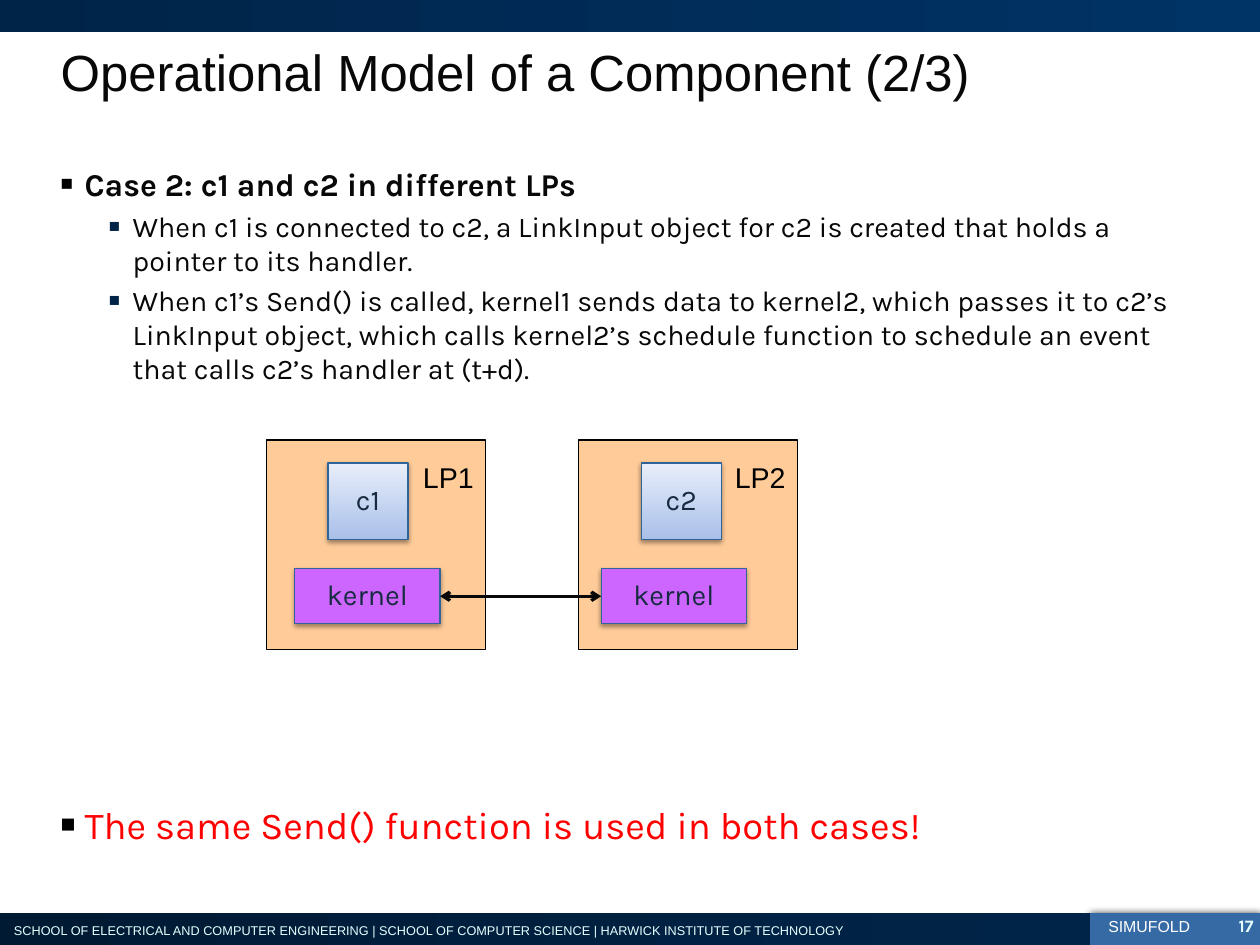
from lxml import etree
from pptx import Presentation
from pptx.dml.color import RGBColor
from pptx.enum.shapes import MSO_CONNECTOR, MSO_SHAPE
from pptx.enum.text import MSO_ANCHOR, PP_ALIGN
from pptx.oxml.ns import qn
from pptx.util import Cm, Pt

RECTANGLE = MSO_SHAPE.RECTANGLE
STRAIGHT = MSO_CONNECTOR.STRAIGHT
TOP, MIDDLE = MSO_ANCHOR.TOP, MSO_ANCHOR.MIDDLE
LEFT, CENTER, RIGHT = PP_ALIGN.LEFT, PP_ALIGN.CENTER, PP_ALIGN.RIGHT

BLACK = RGBColor(0x00, 0x00, 0x00)
WHITE = RGBColor(0xFF, 0xFF, 0xFF)
INK = RGBColor(0x08, 0x08, 0x08)
RED = RGBColor(0xFF, 0x00, 0x00)
PALE_CYAN = RGBColor(0xE5, 0xFF, 0xFF)
DEEP_NAVY = RGBColor(0x00, 0x1A, 0x34)
NAVY = RGBColor(0x00, 0x24, 0x48)
BAND_BLUE = RGBColor(0x00, 0x33, 0x66)
TAB_BLUE = RGBColor(0x36, 0x6A, 0xA4)
PEACH = RGBColor(0xFF, 0xCC, 0x99)
PURPLE = RGBColor(0xCC, 0x66, 0xFF)
EDGE_BLUE = RGBColor(0x2F, 0x64, 0x98)
LABEL_NAVY = RGBColor(0x16, 0x2A, 0x40)
SKY = RGBColor(0xA9, 0xC0, 0xE9)
PALE_SKY = RGBColor(0xE8, 0xEE, 0xFA)

deck = Presentation()
deck.slide_width, deck.slide_height = Cm(28), Cm(21)
page = deck.slides.add_slide(deck.slide_layouts[6])


def add_box(left, top, width, height, colors, line=None, shadow=None, angle=0):
    box = page.shapes.add_shape(RECTANGLE, Cm(left), Cm(top), Cm(width), Cm(height))
    if len(colors) == 1:
        box.fill.solid()
        box.fill.fore_color.rgb = colors[0]
    else:
        box.fill.gradient()
        box.fill.gradient_angle = angle
        for stop, color in zip(box.fill.gradient_stops, colors):
            stop.color.rgb = color
    if line is None:
        box.line.fill.background()
    else:
        box.line.color.rgb = line
        box.line.width = Pt(0.75)
    box.shadow.inherit = False
    if shadow:
        blur, distance, direction, opacity = shadow
        effects = box._element.spPr.find(qn("a:effectLst"))
        outer = etree.SubElement(effects, qn("a:outerShdw"), blurRad=str(Pt(blur)),
                                 dist=str(Pt(distance)), dir=str(direction * 60000),
                                 rotWithShape="0")
        tint = etree.SubElement(outer, qn("a:srgbClr"), val=str(BLACK))
        etree.SubElement(tint, qn("a:alpha"), val=str(opacity * 1000))
    return box


def write(box, paragraphs, inset=(0.25, 0.13), anchor=TOP, align=LEFT, wrap=True, spacing=None):
    frame = box.text_frame
    frame.word_wrap = wrap
    frame.vertical_anchor = anchor
    frame.margin_left = frame.margin_right = Cm(inset[0])
    frame.margin_top = frame.margin_bottom = Cm(inset[1])
    for index, (text, size, font, color, bold, bullet) in enumerate(paragraphs):
        para = frame.add_paragraph() if index else frame.paragraphs[0]
        para.alignment = align
        para.line_spacing = spacing
        if bullet:
            indent, bullet_color = bullet
            para.space_before = Pt(size * 0.2)
            props = para._p.get_or_add_pPr()
            props.set("marL", str(Cm(indent)))
            props.set("indent", str(-Cm(0.53)))
            paint = etree.SubElement(props, qn("a:buClr"))
            etree.SubElement(paint, qn("a:srgbClr"), val=str(bullet_color))
            etree.SubElement(props, qn("a:buSzPct"), val="65000")
            etree.SubElement(props, qn("a:buFont"), typeface="Arial")
            etree.SubElement(props, qn("a:buChar"), char="■")
        span = para.add_run()
        span.text = text
        span.font.size = Pt(size)
        span.font.name = font
        span.font.color.rgb = color
        span.font.bold = bold


add_box(24.2, 20.29, 3.8, 0.71, [TAB_BLUE], shadow=(5, 1, 0, 75))
add_box(0, 20.29, 24.22, 0.71, [DEEP_NAVY, NAVY])
add_box(0, 0, 28, 0.71, [NAVY, BAND_BLUE])

WIDE = (0.28, 0.15)
FOOTER = ("SCHOOL OF ELECTRICAL AND COMPUTER ENGINEERING | SCHOOL OF COMPUTER SCIENCE"
          " | HARWICK INSTITUTE OF TECHNOLOGY")
OUTER, INNER = (0.53, BLACK), (1.6, NAVY)
body = [
    ("Case 2: c1 and c2 in different LPs", 20, "Karla", INK, True, OUTER),
    ("When c1 is connected to c2, a LinkInput object for c2 is created that holds a "
     "pointer to its handler.", 18, "Karla", INK, False, INNER),
    ("When c1’s Send() is called, kernel1 sends data to kernel2, which passes it to c2’s "
     "LinkInput object, which calls kernel2’s schedule function to schedule an event "
     "that calls c2’s handler at (t+d).", 18, "Karla", INK, False, INNER),
]
conclusion = [("The same Send() function is used in both cases!", 24, "Karla", RED, False, OUTER)]
texts = [
    ((0.03, 20.35, 19.13, 0.64), [(FOOTER, 8, "Arial", PALE_CYAN, False, None)],
     dict(inset=WIDE, wrap=False)),
    ((24.38, 20.27, 2.36, 0.66), [("SIMUFOLD", 10, "Arial", WHITE, False, None)],
     dict(wrap=False, spacing=0.93)),
    ((1.07, 0.69, 26.04, 1.8),
     [("Operational Model of a Component (2/3)", 32, "Arial", INK, False, None)],
     dict(inset=WIDE, anchor=MIDDLE)),
    ((26.77, 20.19, 1.09, 0.66), [("17", 11, "Karla", PALE_CYAN, True, None)],
     dict(inset=(0, 0.15), align=RIGHT)),
    ((1.07, 3.51, 26.06, 5.64), body, dict(inset=WIDE)),
    ((1.07, 17.65, 21.49, 1.8), conclusion, dict(inset=WIDE)),
]
for place, paragraphs, options in texts:
    write(page.shapes.add_textbox(*map(Cm, place)), paragraphs, **options)

SOFT = (3.1, 1.6, 90, 38)
KERNEL_WIDTH = 3.23
processes = [("LP1", 5.92, "c1", 7.29, 6.55), ("LP2", 12.85, "c2", 14.25, 13.36)]
for process, left, component, component_left, kernel_left in processes:
    add_box(left, 9.78, 4.88, 4.65, [PEACH], BLACK)
    label = page.shapes.add_textbox(Cm(left + 3.23), Cm(10.16), Cm(1.65), Cm(0.97))
    write(label, [(process, 18, "Arial", BLACK, False, None)], wrap=False, spacing=0.93)
    component_box = add_box(component_left, 10.29, 1.78, 1.7, [SKY, PALE_SKY],
                            EDGE_BLUE, SOFT, angle=90)
    kernel_box = add_box(kernel_left, 12.63, KERNEL_WIDTH, 1.22, [PURPLE], EDGE_BLUE, SOFT)
    for box, name in ((component_box, component), (kernel_box, "kernel")):
        write(box, [(name, 18, "Karla", LABEL_NAVY, False, None)],
              anchor=MIDDLE, align=CENTER, spacing=0.93)

link = page.shapes.add_connector(STRAIGHT, Cm(processes[0][4] + KERNEL_WIDTH), Cm(13.25),
                                 Cm(processes[1][4]), Cm(13.25))
link.line.color.rgb = INK
link.line.width = Pt(2)
for end in ("a:headEnd", "a:tailEnd"):
    etree.SubElement(link.line._get_or_add_ln(), qn(end), type="arrow")
etree.SubElement(link._element.spPr, qn("a:effectLst"))

deck.save("out.pptx")
